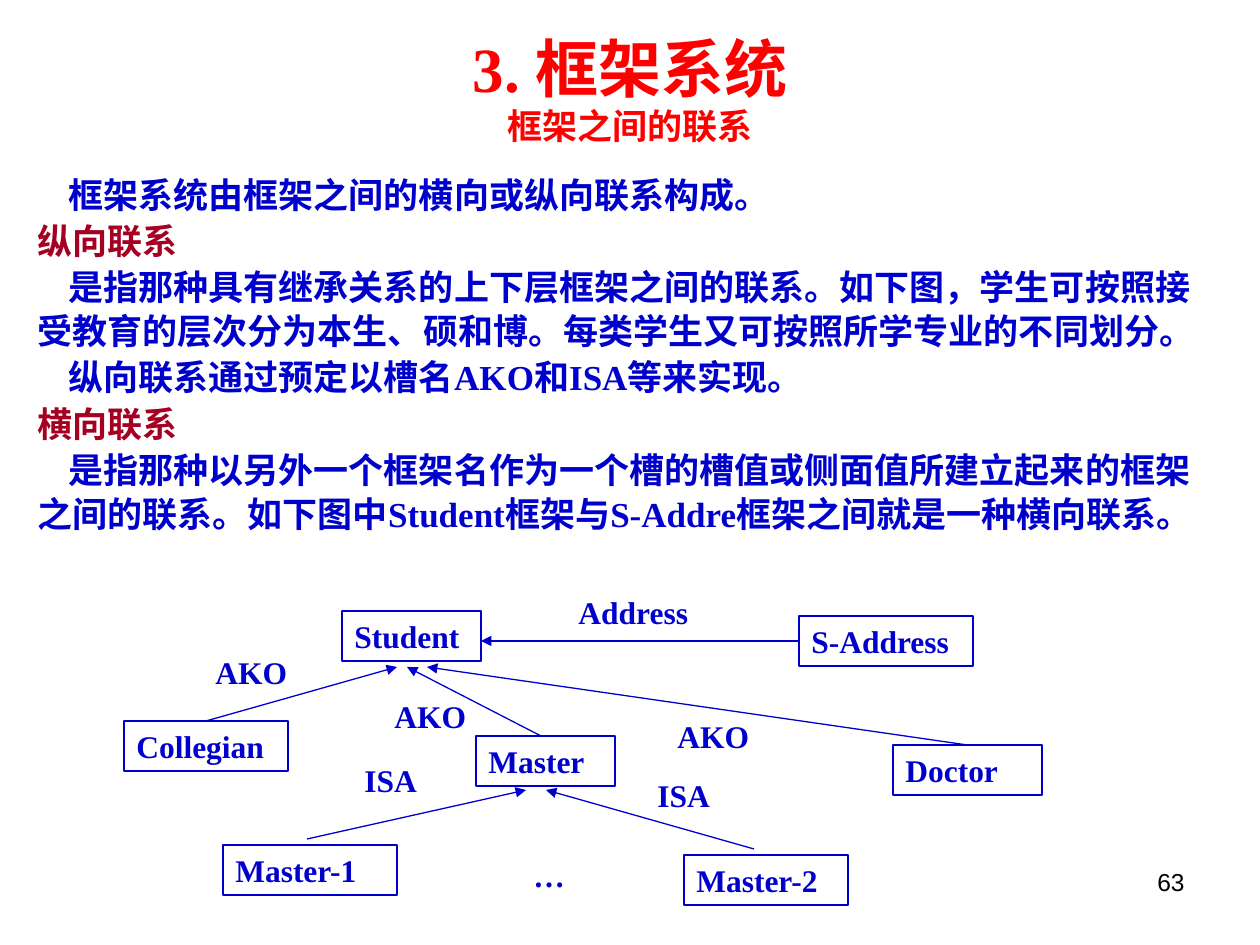
from dataclasses import dataclass
from typing import Optional

import pptx
import pptx.dml.color
import pptx.enum.shapes
import pptx.enum.text
import pptx.oxml.ns
import pptx.util
from lxml import etree

EMU_PER_PX = 914400 / 126
ROW_HEIGHT = 50
SERIF = "Times New Roman"
COLORS = {"title": "FF0000", "ink": "0000CC", "heading": "A50021", "number": "000000"}
ALIGN = pptx.enum.text.PP_ALIGN
ANCHOR = pptx.enum.text.MSO_ANCHOR
FIT = pptx.enum.text.MSO_AUTO_SIZE
TOP, LEFT = 0, 1


@dataclass(frozen=True)
class Item:
    text: str
    left: int
    top: int
    width: int


@dataclass(frozen=True)
class Arrow:
    start: tuple[int, int]
    end: tuple[int, int]
    source: Optional[str] = None
    site: int = TOP


FRAMES = [
    Item("Student", 342, 611, 139),
    Item("S-Address", 799, 616, 174),
    Item("Collegian", 124, 721, 164),
    Item("Master", 476, 736, 139),
    Item("Doctor", 893, 745, 149),
    Item("Master-1", 223, 845, 174),
    Item("Master-2", 684, 855, 164),
]
LABELS = [
    Item("Address", 566, 587, 159),
    Item("AKO", 203, 647, 100),
    Item("AKO", 382, 691, 100),
    Item("AKO", 665, 711, 100),
    Item("ISA", 352, 755, 84),
    Item("ISA", 645, 770, 79),
    Item("…", 521, 850, 84),
]
ARROWS = [
    Arrow((799, 641), (481, 641), "S-Address", LEFT),
    Arrow((208, 721), (397, 667), "Collegian"),
    Arrow((541, 736), (407, 667)),
    Arrow((968, 745), (427, 667), "Doctor"),
    Arrow((307, 839), (526, 790)),
    Arrow((754, 849), (546, 790)),
]
BODY = [
    ("框架系统由框架之间的横向或纵向联系构成。", False),
    ("纵向联系", True),
    ("是指那种具有继承关系的上下层框架之间的联系。如下图，学生可按照接受教育的层次分为本生、硕和博。每类学生又可按照所学专业的不同划分。", False),
    ("纵向联系通过预定以槽名AKO和ISA等来实现。", False),
    ("横向联系", True),
    ("是指那种以另外一个框架名作为一个槽的槽值或侧面值所建立起来的框架之间的联系。如下图中Student框架与S-Addre框架之间就是一种横向联系。", False),
]


def px(length: int) -> int:
    return pptx.util.Emu(round(length * EMU_PER_PX))


def color(name: str) -> pptx.dml.color.RGBColor:
    return pptx.dml.color.RGBColor.from_string(COLORS[name])


def style(span, size: int, ink: str, bold: bool = True, face: str = SERIF) -> None:
    span.font.size = pptx.util.Pt(size)
    span.font.name = face
    span.font.bold = bold
    span.font.color.rgb = color(ink)


def write_item(box, text: str) -> None:
    frame = box.text_frame
    frame.word_wrap = True
    frame.auto_size = FIT.SHAPE_TO_FIT_TEXT
    frame.vertical_anchor = ANCHOR.TOP
    frame.text = text
    para = frame.paragraphs[0]
    para.alignment = ALIGN.LEFT
    style(para.runs[0], 18, "ink")


def draw_frame(page, item: Item):
    box = page.shapes.add_shape(
        pptx.enum.shapes.MSO_SHAPE.RECTANGLE,
        px(item.left), px(item.top), px(item.width), px(ROW_HEIGHT),
    )
    box.shadow.inherit = False
    box.fill.background()
    box.line.color.rgb = color("ink")
    box.line.width = pptx.util.Pt(0.75)
    write_item(box, item.text)
    return box


def draw_label(page, item: Item) -> None:
    box = page.shapes.add_textbox(px(item.left), px(item.top), px(item.width), px(ROW_HEIGHT))
    write_item(box, item.text)


def draw_arrow(page, arrow: Arrow, frames: dict) -> None:
    line = page.shapes.add_connector(
        pptx.enum.shapes.MSO_CONNECTOR.STRAIGHT,
        *map(px, arrow.start), *map(px, arrow.end),
    )
    if arrow.source:
        line.begin_connect(frames[arrow.source], arrow.site)
    line.line.color.rgb = color("ink")
    line.line.width = pptx.util.Pt(0.75)
    outline = line.line._get_or_add_ln()
    etree.SubElement(outline, pptx.oxml.ns.qn("a:tailEnd"), type="triangle")
    etree.SubElement(line._element.spPr, pptx.oxml.ns.qn("a:effectLst"))


def draw_title(page) -> None:
    title = page.shapes.title
    title.left, title.top, title.width, title.height = map(px, (63, 21, 1134, 134))
    frame = title.text_frame
    frame.auto_size = FIT.NONE
    frame.vertical_anchor = ANCHOR.MIDDLE
    frame.text = "3. 框架系统\v框架之间的联系"
    para = frame.paragraphs[0]
    para.alignment = ALIGN.CENTER
    for span, size in zip(para.runs, (36, 20)):
        style(span, size, "title")
    line_break = para._p.find(pptx.oxml.ns.qn("a:br"))
    etree.SubElement(line_break, pptx.oxml.ns.qn("a:rPr"), sz="3600")


def draw_body(page) -> None:
    frame = page.shapes.add_textbox(*map(px, (25, 165, 1206, 421))).text_frame
    frame.word_wrap = True
    frame.text = "\n".join(text for text, _ in BODY)
    for index, (para, (_, heading)) in enumerate(zip(frame.paragraphs, BODY)):
        para.line_spacing = 1.05
        if index:
            para.space_before = pptx.util.Pt(1.2)
        properties = para._p.get_or_add_pPr()
        properties.set("hangingPunct", "0")
        if not heading:
            properties.set("indent", str(px(31)))
        style(para.runs[0], 20, "heading" if heading else "ink")


def draw_page_number(page) -> None:
    frame = page.shapes.add_textbox(*map(px, (903, 861, 294, 66))).text_frame
    frame.word_wrap = True
    frame.text = "63"
    para = frame.paragraphs[0]
    para.alignment = ALIGN.RIGHT
    style(para.runs[0], 14, "number", bold=False, face="Arial")


def main() -> None:
    deck = pptx.Presentation()
    deck.slide_width, deck.slide_height = px(1260), px(945)
    page = deck.slides.add_slide(deck.slide_layouts[5])
    draw_title(page)
    draw_body(page)
    frames = {item.text: draw_frame(page, item) for item in FRAMES}
    for arrow in ARROWS:
        draw_arrow(page, arrow, frames)
    for item in LABELS:
        draw_label(page, item)
    draw_page_number(page)
    deck.save("out.pptx")


if __name__ == "__main__":
    main()
